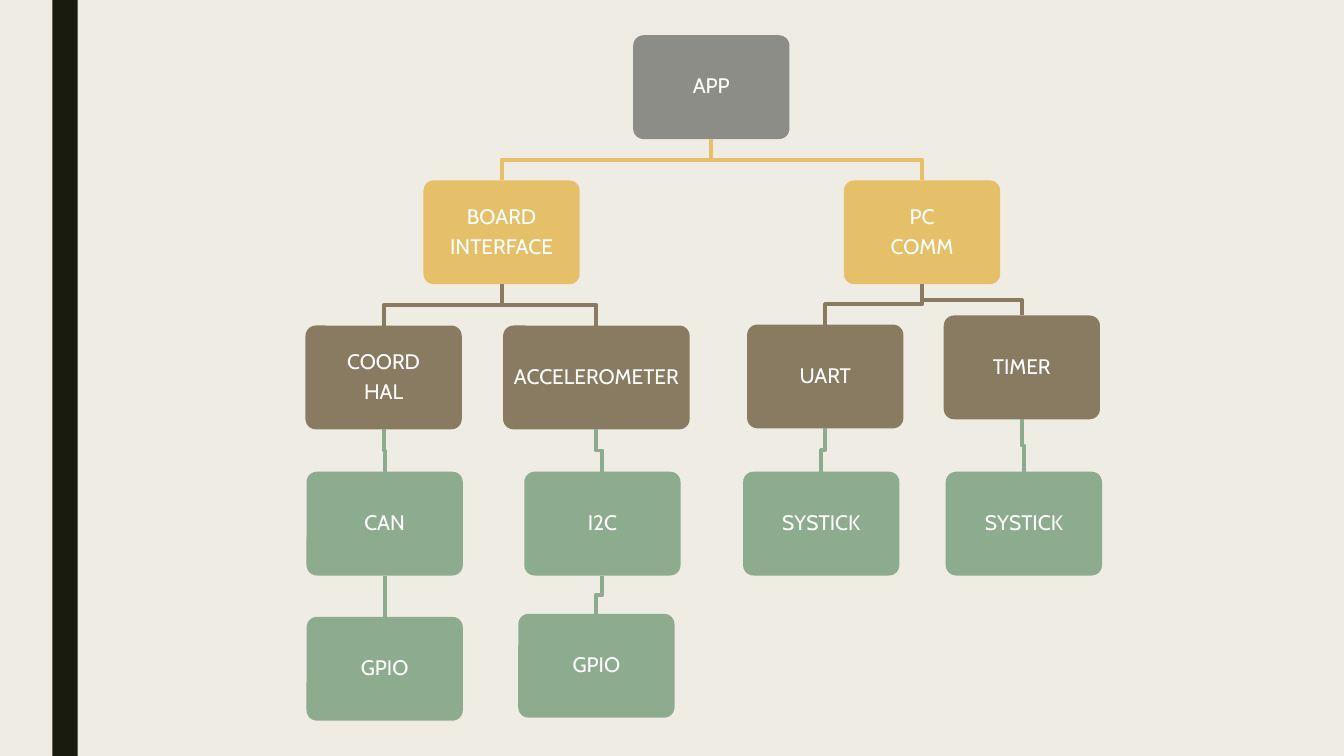
from pptx import Presentation
from pptx.dml.color import RGBColor
from pptx.enum.shapes import MSO_CONNECTOR, MSO_SHAPE
from pptx.enum.text import MSO_ANCHOR, PP_ALIGN
from pptx.oxml.ns import qn
from pptx.util import Inches, Pt
from lxml.etree import SubElement

CREAM = RGBColor(0xEF, 0xED, 0xE3)
BLACK = RGBColor(0x19, 0x1B, 0x0E)
GRAY = RGBColor(0x8C, 0x8D, 0x86)
GOLD = RGBColor(0xE6, 0xC0, 0x69)
BROWN = RGBColor(0x89, 0x7B, 0x61)
GREEN = RGBColor(0x8D, 0xAB, 0x8E)
WHITE = RGBColor(0xFF, 0xFF, 0xFF)

LEVEL_COLORS = [GRAY, GOLD, BROWN, GREEN, GREEN]
BOX_WIDTH, BOX_HEIGHT = 1.55, 1.03
WIDE = 1.85
INSET = 0.05

TREE = (["APP"], 6.28, 0.35, BOX_WIDTH, [
    (["BOARD", "INTERFACE"], 4.2, 1.79, BOX_WIDTH, [
        (["COORD", "HAL"], 3.03, 3.23, BOX_WIDTH, [
            (["CAN"], 3.04, 4.68, BOX_WIDTH, [
                (["GPIO"], 3.04, 6.12, BOX_WIDTH, [])])]),
        (["ACCELEROMETER"], 4.99, 3.23, WIDE, [
            (["I2C"], 5.2, 4.68, BOX_WIDTH, [
                (["GPIO"], 5.14, 6.09, BOX_WIDTH, [])])]),
    ]),
    (["PC", "COMM"], 8.37, 1.79, BOX_WIDTH, [
        (["UART"], 7.41, 3.22, BOX_WIDTH, [
            (["SYSTICK"], 7.37, 4.68, BOX_WIDTH, [])]),
        (["TIMER"], 9.36, 3.13, BOX_WIDTH, [
            (["SYSTICK"], 9.38, 4.68, BOX_WIDTH, [])]),
    ]),
])


def add_box(page, lines, left, top, width, color):
    box = page.shapes.add_shape(MSO_SHAPE.ROUNDED_RECTANGLE, Inches(left),
                                Inches(top), Inches(width), Inches(BOX_HEIGHT))
    box.adjustments[0] = 0.1
    box.shadow.inherit = False
    box.fill.solid()
    box.fill.fore_color.rgb = color
    box.line.fill.background()
    frame = box.text_frame
    frame.word_wrap = True
    frame.vertical_anchor = MSO_ANCHOR.MIDDLE
    frame.margin_left = frame.margin_right = Inches(INSET)
    frame.margin_top = frame.margin_bottom = Inches(INSET)
    for index, line in enumerate(lines):
        para = frame.add_paragraph() if index else frame.paragraphs[0]
        para.text = line
        para.alignment = PP_ALIGN.CENTER
        para.line_spacing = 0.9
        para.space_after = Pt(5.25)
        para.font.name = "Cabin"
        para.font.size = Pt(15)
        para.font.color.rgb = WHITE
    return box


def add_link(page, parent, child, color):
    start_x, start_y = parent.left + parent.width // 2, parent.top + parent.height
    end_x, end_y = child.left + child.width // 2, child.top
    if start_x == end_x:
        link = page.shapes.add_connector(MSO_CONNECTOR.STRAIGHT, start_x, start_y,
                                         end_x, end_y)
        link.begin_connect(parent, 2)
        link.end_connect(child, 0)
        SubElement(link._element.spPr, qn("a:effectLst"))
    else:
        middle = (start_y + end_y) // 2
        builder = page.shapes.build_freeform(start_x, start_y)
        builder.add_line_segments([(start_x, middle), (end_x, middle),
                                   (end_x, end_y)], close=False)
        link = builder.convert_to_shape()
        link.shadow.inherit = False
        link.fill.background()
    link.line.color.rgb = color
    link.line.width = Pt(2.75)


def add_branch(page, node, level=0, parent=None):
    lines, left, top, width, children = node
    color = LEVEL_COLORS[level]
    box = add_box(page, lines, left, top, width, color)
    if parent is not None:
        add_link(page, parent, box, color)
    for child in children:
        add_branch(page, child, level + 1, box)


def main():
    deck = Presentation()
    deck.slide_width, deck.slide_height = Inches(13.33), Inches(7.5)
    page = deck.slides.add_slide(deck.slide_layouts[6])
    page.background.fill.solid()
    page.background.fill.fore_color.rgb = CREAM
    bar = page.shapes.add_shape(MSO_SHAPE.RECTANGLE, Inches(0.52), 0,
                                Inches(0.25), deck.slide_height)
    bar.shadow.inherit = False
    bar.fill.solid()
    bar.fill.fore_color.rgb = BLACK
    bar.line.fill.background()
    add_branch(page, TREE)
    deck.save("out.pptx")


if __name__ == "__main__":
    main()
